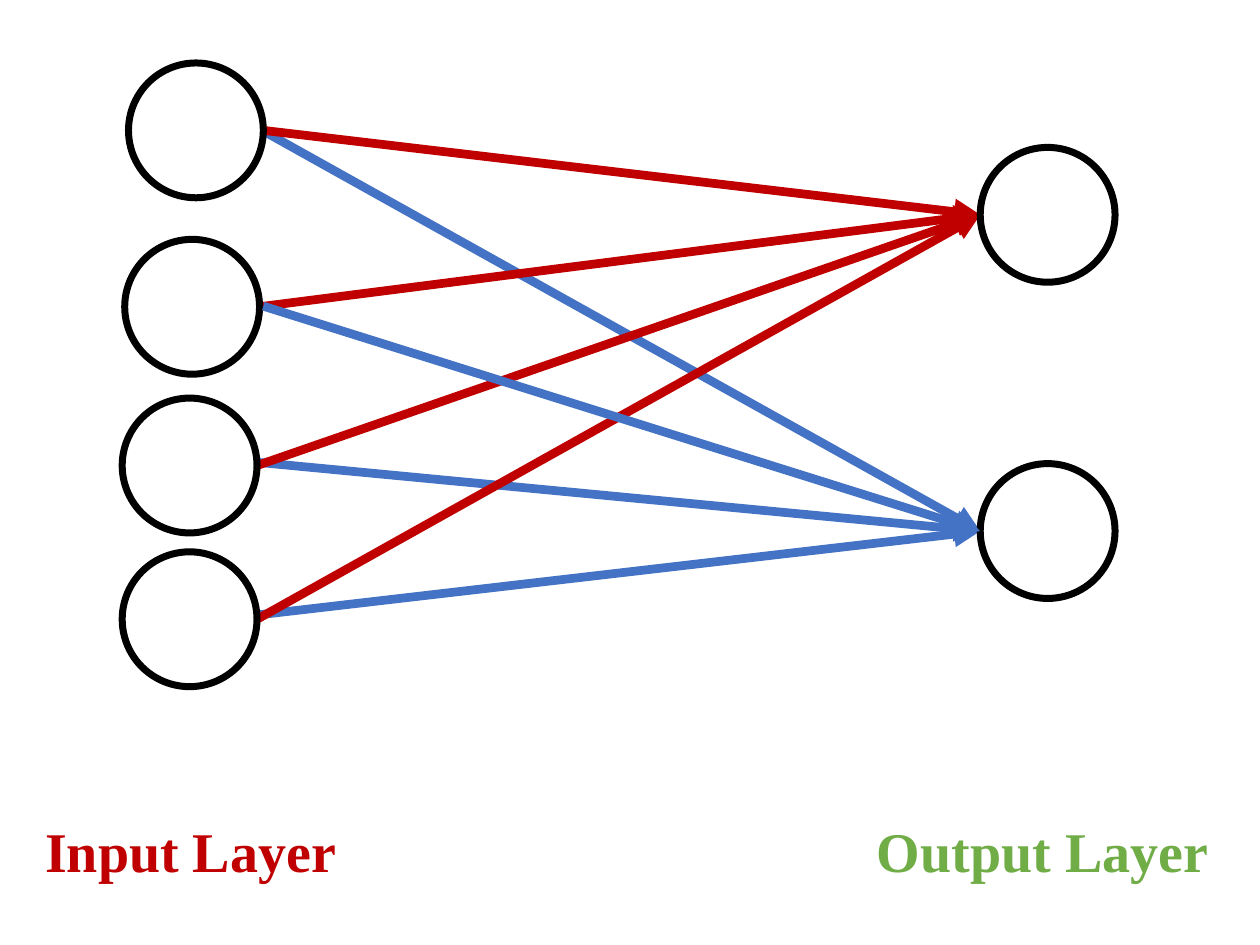
import pptx
import pptx.util
import pptx.dml.color
import pptx.enum.shapes
import pptx.oxml
import pptx.oxml.ns

Inches = pptx.util.Inches
Pt = pptx.util.Pt
COLORS = {"red": "C00000", "blue": "4472C4", "green": "70AD47", "black": "000000"}
SIZE = 1.07
INPUTS = [(1.02, 0.5), (0.99, 1.9), (0.97, 3.16), (0.97, 4.38)]
OUTPUTS = [(7.78, 1.17), (7.78, 3.68)]
RED_STARTS = [(x + SIZE, y + SIZE / 2) for x, y in INPUTS]
BLUE_STARTS = [(2.09, 1.04), (2.09, 2.43), (2.05, 3.67), (2.05, 4.88)]


def color(name):
    return pptx.dml.color.RGBColor.from_string(COLORS[name])


def add_node(slide, left, top):
    node = slide.shapes.add_shape(
        pptx.enum.shapes.MSO_SHAPE.OVAL,
        Inches(left), Inches(top), Inches(SIZE), Inches(SIZE))
    node.shadow.inherit = False
    node.fill.background()
    node.line.color.rgb = color("black")
    node.line.width = Pt(4)


def add_arrow(slide, start, target, hue):
    left, top = target
    arrow = slide.shapes.add_connector(
        pptx.enum.shapes.MSO_CONNECTOR.STRAIGHT,
        Inches(start[0]), Inches(start[1]), Inches(left), Inches(top + SIZE / 2))
    arrow.line.color.rgb = color(hue)
    arrow.line.width = Pt(5)
    space = pptx.oxml.ns.nsdecls("a")
    arrow.line._get_or_add_ln().append(
        pptx.oxml.parse_xml(f'<a:tailEnd {space} type="triangle"/>'))
    arrow._element.spPr.append(pptx.oxml.parse_xml(f"<a:effectLst {space}/>"))


def add_label(slide, left, width, text, hue):
    box = slide.shapes.add_textbox(
        Inches(left), Inches(6.43), Inches(width), Inches(0.64))
    box.text_frame.word_wrap = True
    run = box.text_frame.paragraphs[0].add_run()
    run.text = text
    run.font.name = "Times New Roman"
    run.font.size = Pt(32)
    run.font.bold = True
    run.font.color.rgb = color(hue)


def main():
    deck = pptx.Presentation()
    deck.slide_width, deck.slide_height = Inches(10), Inches(7.5)
    slide = deck.slides.add_slide(deck.slide_layouts[6])
    upper, lower = OUTPUTS

    for index in (0, 2, 3):
        add_arrow(slide, BLUE_STARTS[index], lower, "blue")
    for start in RED_STARTS:
        add_arrow(slide, start, upper, "red")
    add_label(slide, 0.26, 2.55, "Input Layer", "red")
    add_label(slide, 6.86, 2.91, "Output Layer", "green")
    for left, top in INPUTS + OUTPUTS:
        add_node(slide, left, top)
    add_arrow(slide, BLUE_STARTS[1], lower, "blue")

    deck.save("out.pptx")


if __name__ == "__main__":
    main()
